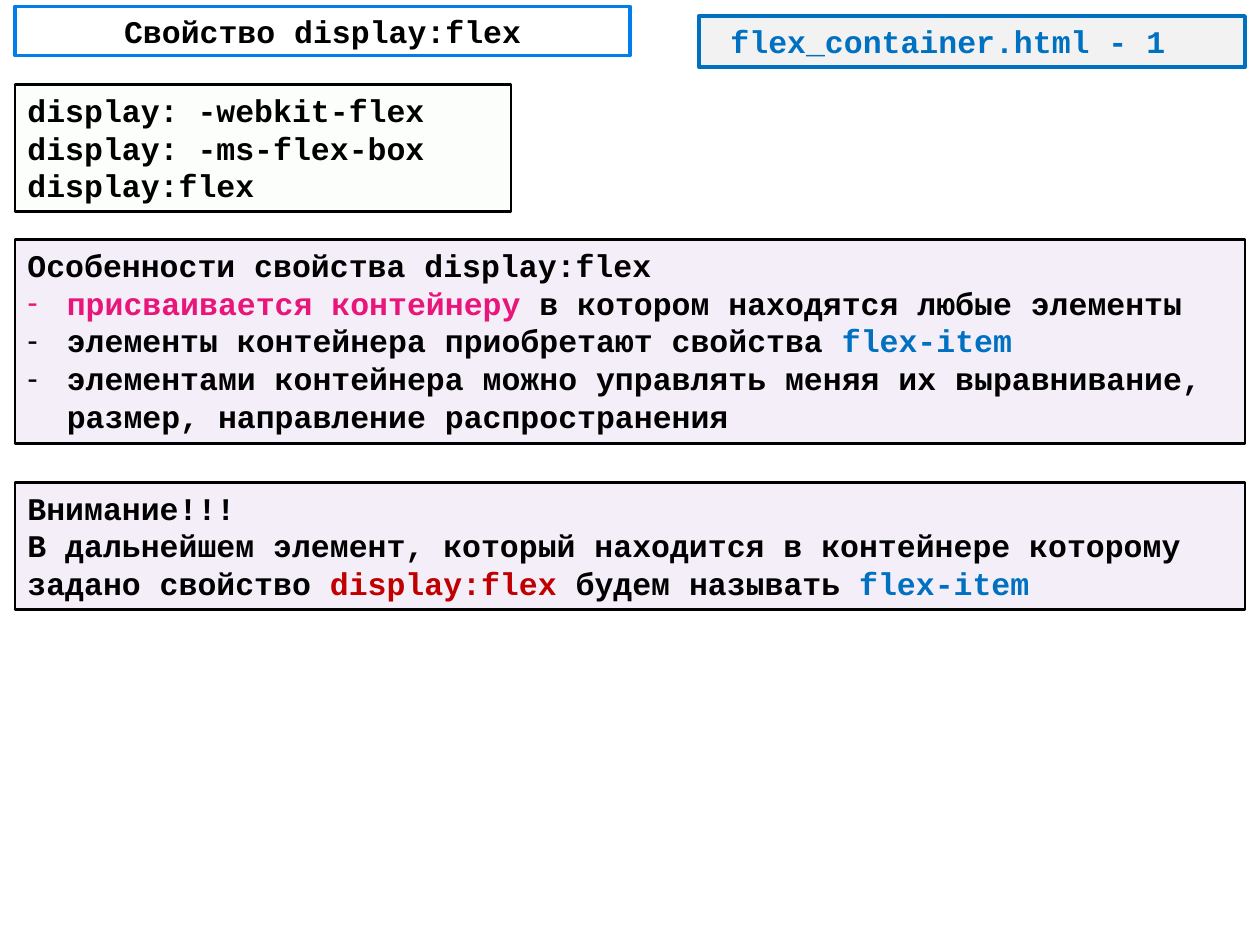
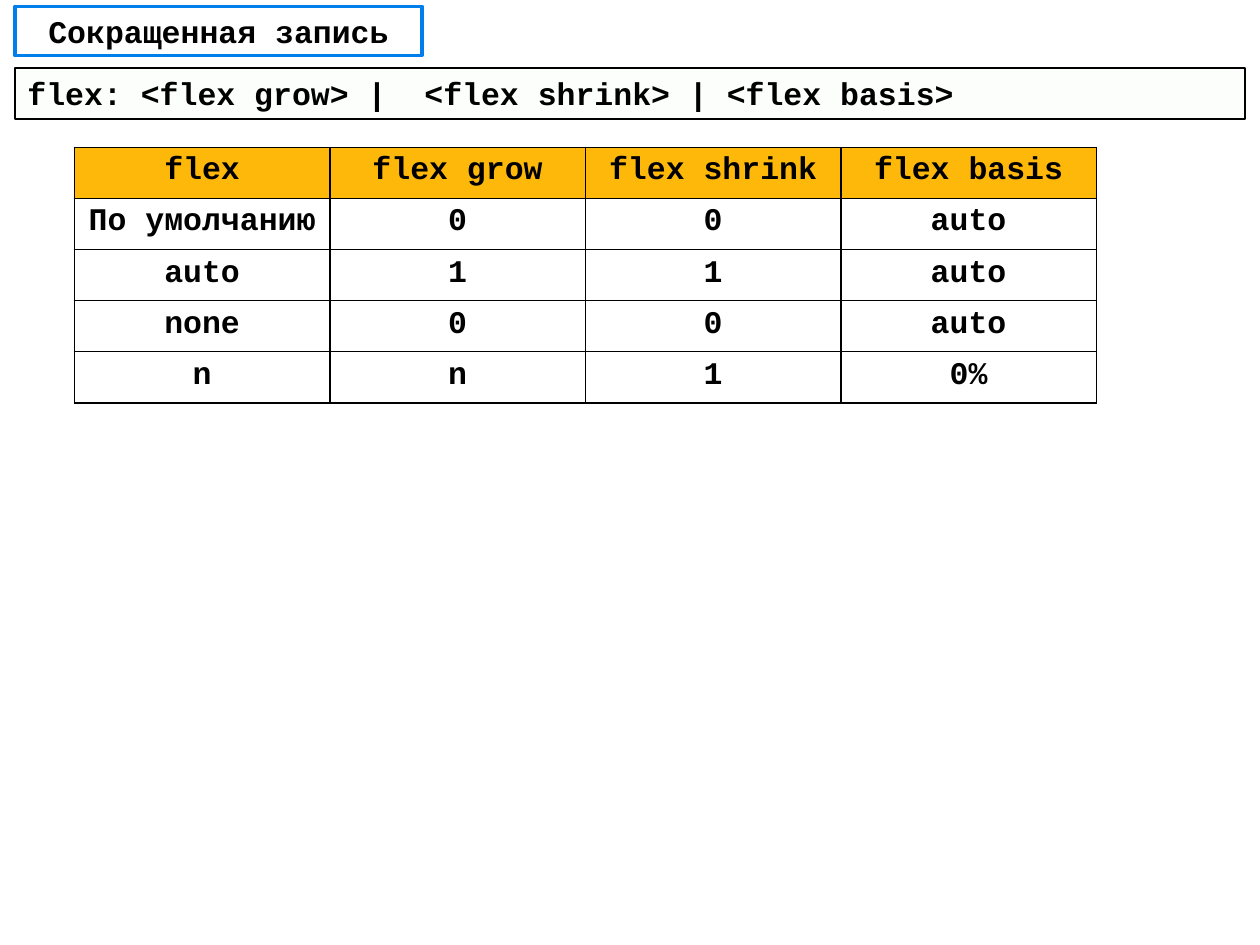
from lxml import etree
from pptx import Presentation
from pptx import util as u
from pptx.dml.color import RGBColor
from pptx.enum import shapes, text
from pptx.oxml import ns

COLORS = {
    "black": "000000", "white": "FFFFFF", "title": "007EEB", "blue": "0070C0",
    "grey": "F2F2F2", "pink": "EA157A", "red": "C00000", "green": "E5F6D8",
    "violet": "7030A0", "amber": "FEB80A",
}
FONT, SIZE = "Courier New", 18
SLIDE_W, SLIDE_H, MARGIN = 720, 540, 8.6
FULL_W = SLIDE_W - 2 * MARGIN
TINT = 8
DASH_INDENT = 22.5

PREFIXES = ["display: -webkit-flex", "display: -ms-flex-box", "display:flex"]
FEATURES_HEADING = "Особенности свойства display:flex"
FEATURES = [
    [("присваивается контейнеру ", "pink"), ("в котором находятся любые элементы", "black")],
    [("элементы контейнера приобретают свойства ", "black"), ("flex-item", "blue")],
    "элементами контейнера можно управлять меняя их выравнивание, "
    "размер, направление распространения",
]
WARNING = [
    "Внимание!!!",
    [("В дальнейшем элемент, который находится в контейнере которому задано свойство ", "black"),
     ("display:flex ", "red"), ("будем называть ", "black"), ("flex-item", "blue")],
]
SHORTHAND = "flex: <flex grow> |  <flex shrink> | <flex basis>"
FLEX_VALUES = [
    ("flex", "flex grow", "flex shrink", "flex basis"),
    ("По умолчанию", "0", "0", "auto"),
    ("auto", "1", "1", "auto"),
    ("none", "0", "0", "auto"),
    ("n", "n", "1", "0%"),
]


def rgb(name):
    return RGBColor.from_string(COLORS[name])


def sub(parent, tag, **attributes):
    return etree.SubElement(parent, ns.qn(tag), attributes)


def style(paragraph, color="black", align=text.PP_ALIGN.LEFT):
    paragraph.alignment = align
    font = paragraph.font
    font.name, font.size, font.bold = FONT, u.Pt(SIZE), True
    font.color.rgb = rgb(color)


def add_dash(paragraph):
    props = paragraph._p.get_or_add_pPr()
    props.set("marL", str(u.Pt(DASH_INDENT)))
    props.set("indent", str(-u.Pt(DASH_INDENT)))
    sub(props, "a:buFont", typeface="Arial")
    sub(props, "a:buChar", char="-")


def write(frame, lines, color="black", align=text.PP_ALIGN.LEFT, dashes_from=None):
    for index, line in enumerate(lines):
        paragraph = frame.paragraphs[0] if index == 0 else frame.add_paragraph()
        if dashes_from is not None and index >= dashes_from:
            add_dash(paragraph)
        style(paragraph, color, align)
        if isinstance(line, str):
            paragraph.add_run().text = line
            continue
        for words, run_color in line:
            run = paragraph.add_run()
            run.text = words
            run.font.color.rgb = rgb(run_color)


def add_box(slide, top, height, fill, left=MARGIN, width=FULL_W,
            line="black", weight=1.5, tint=None):
    box = slide.shapes.add_shape(shapes.MSO_SHAPE.RECTANGLE,
                                 *map(u.Pt, (left, top, width, height)))
    box.shadow.inherit = False
    box.fill.solid()
    box.fill.fore_color.rgb = rgb(fill)
    if tint:
        color = box._element.spPr.find(".//" + ns.qn("a:srgbClr"))
        sub(color, "a:alpha", val=str(tint * 1000))
    box.line.color.rgb = rgb(line)
    box.line.width = u.Pt(weight)
    frame = box.text_frame
    frame.word_wrap = True
    frame.vertical_anchor = text.MSO_ANCHOR.TOP
    return frame


def add_title(slide, words, width):
    frame = add_box(slide, 3.6, 28.1, "white", width=width, line="title", weight=2)
    frame.vertical_anchor = text.MSO_ANCHOR.MIDDLE
    write(frame, [words], align=text.PP_ALIGN.CENTER)


def add_code(slide, lines, top, height, width=FULL_W):
    write(add_box(slide, top, height, "green", width=width, tint=TINT), lines)


def add_note(slide, lines, top, height, dashes_from=None):
    frame = add_box(slide, top, height, "violet", tint=TINT)
    write(frame, lines, dashes_from=dashes_from)


def add_borders(cell):
    props = cell._tc.get_or_add_tcPr()
    for side in ("L", "R", "T", "B"):
        line = sub(props, f"a:ln{side}", w=str(u.Pt(1)))
        sub(sub(line, "a:solidFill"), "a:srgbClr", val=COLORS["black"])


def add_values_table(slide, left=42.5, top=84.2, column_w=146, row_h=29.2):
    rows, columns = len(FLEX_VALUES), len(FLEX_VALUES[0])
    table = slide.shapes.add_table(
        rows, columns, *map(u.Pt, (left, top, column_w * columns, row_h * rows))).table
    table.horz_banding = False
    for r, values in enumerate(FLEX_VALUES):
        for c, value in enumerate(values):
            cell = table.cell(r, c)
            add_borders(cell)
            if r == 0:
                cell.fill.solid()
                cell.fill.fore_color.rgb = rgb("amber")
            else:
                cell.fill.background()
            write(cell.text_frame, [value], align=text.PP_ALIGN.CENTER)


def build_property_slide(slide):
    add_title(slide, "Свойство display:flex", 351.5)
    add_code(slide, PREFIXES, 48.3, 72.7, 283.5)
    add_note(slide, [FEATURES_HEADING, *FEATURES], 137, 116.4, dashes_from=1)
    file_w = 312
    file_label = add_box(slide, 9.2, 29.1, "grey", left=SLIDE_W - MARGIN - file_w,
                         width=file_w, line="blue", weight=2.25)
    file_label.margin_left = u.Pt(18)
    write(file_label, ["flex_container.html - 1"], "blue")
    add_note(slide, WARNING, 275.6, 72.7)


def build_shorthand_slide(slide):
    add_code(slide, [SHORTHAND], 38.9, 29.1)
    add_values_table(slide)
    add_title(slide, "Сокращенная запись", 232.5)


def main():
    deck = Presentation()
    deck.slide_width, deck.slide_height = u.Pt(SLIDE_W), u.Pt(SLIDE_H)
    for build in (build_property_slide, build_shorthand_slide):
        build(deck.slides.add_slide(deck.slide_layouts[6]))
    deck.save("out.pptx")


if __name__ == "__main__":
    main()
